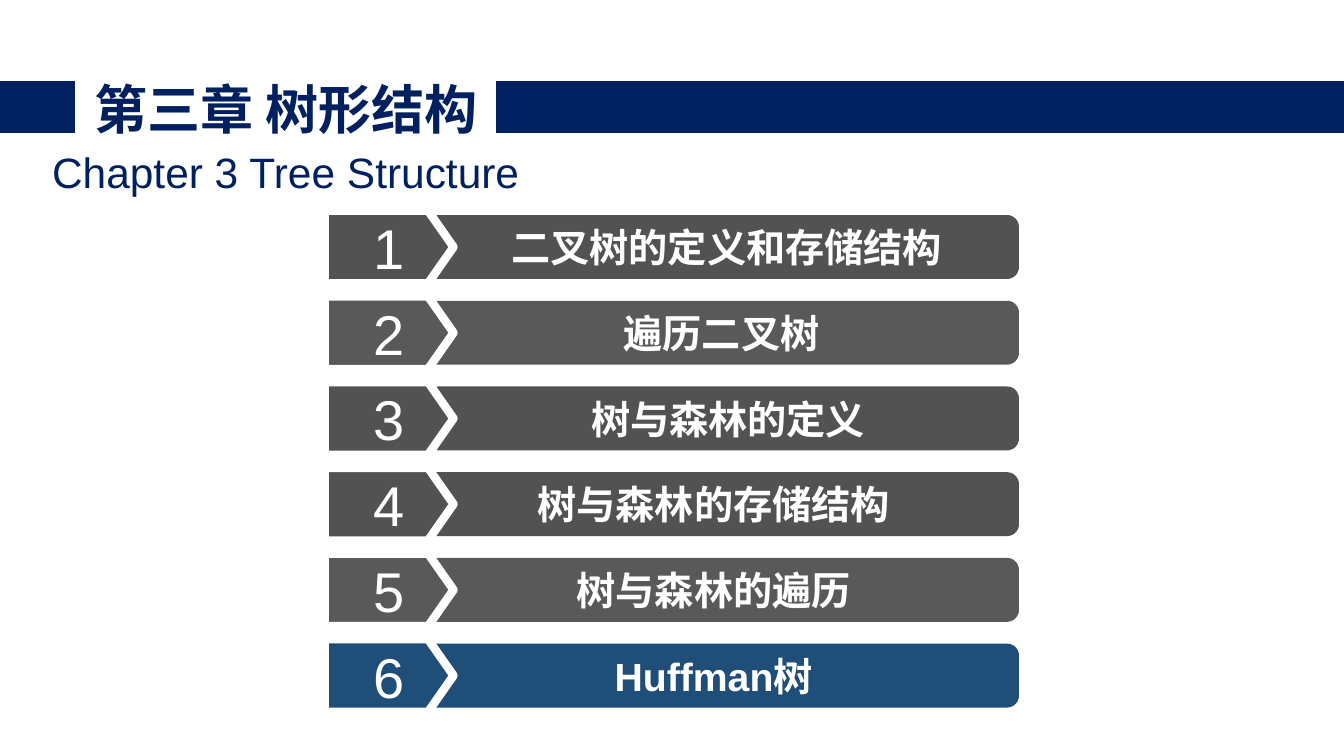
import math

from pptx import Presentation
from pptx import util as u
from pptx.dml import color
from pptx.enum import text

NAVY, WHITE = "002060", "FFFFFF"
DARK, GREY, BLUE = "525252", "595959", "1F4E79"

SECTIONS = [
    ("二叉树的定义和存储结构", DARK, 1.13, 0),
    ("遍历二叉树", GREY, 0.47, 0.4),
    ("树与森林的定义", DARK, 1.2, 0),
    ("树与森林的存储结构", DARK, 0.47, 0),
    ("树与森林的遍历", GREY, 0.47, 0),
    ("Huffman树", BLUE, 0.47, 0),
]


def paint(target, value):
    if hasattr(target, "solid"):
        target.solid()
        target = target.fore_color
    else:
        target = target.color
    target.rgb = color.RGBColor.from_string(value)


def write(shape, words, size, ink, bold=False, anchor=text.MSO_ANCHOR.MIDDLE, indent=0):
    frame = shape.text_frame
    frame.text = words
    frame.word_wrap = True
    frame.auto_size = text.MSO_AUTO_SIZE.NONE
    frame.vertical_anchor = anchor
    frame.margin_left = u.Cm(indent)
    frame.margin_right = frame.margin_top = frame.margin_bottom = 0
    para = frame.paragraphs[0]
    para.alignment = text.PP_ALIGN.CENTER
    para.space_before = u.Pt(0)
    for span in para.runs:
        span.font.name = "Arial"
        span.font.size = u.Pt(size)
        span.font.bold = bold
        paint(span.font, ink)


def place(shape, left, top, width, height):
    shape.left, shape.top = u.Cm(left), u.Cm(top)
    shape.width, shape.height = u.Cm(width), u.Cm(height)


def add_outline(shapes, points, fill):
    corners = [(u.Cm(x), u.Cm(y)) for x, y in points]
    builder = shapes.build_freeform(*corners[0])
    builder.add_line_segments(corners[1:], close=True)
    shape = builder.convert_to_shape()
    shape.shadow.inherit = False
    paint(shape.fill, fill)
    shape.line.fill.background()
    return shape


def add_band(page, left, top, width, height):
    right, bottom = left + width, top + height
    add_outline(page.shapes, [(left, top), (right, top), (right, bottom), (left, bottom)], NAVY)


def add_header(page, left, top, width, height):
    add_band(page, left, top, 1.88, height)
    add_band(page, left + 12.5, top, width - 12.5, height)
    title, subtitle = page.shapes.title, page.placeholders[1]
    place(title, left + 2.11, top - 0.13, 10.19, 1.63)
    write(title, "第三章 树形结构", 37.9, NAVY, bold=True)
    place(subtitle, left + 0.51, top + 1.65, 13.39, 1.3)
    write(subtitle, "Chapter 3 Tree Structure", 30.3, NAVY, anchor=text.MSO_ANCHOR.TOP)


def bar_points(left, top, right, bottom, radius=0.3):
    points = [(left, top)]
    for start, centre_y in ((-90, top + radius), (0, bottom - radius)):
        for step in range(10):
            angle = math.radians(start + 10 * step)
            points.append((right - radius + radius * math.cos(angle),
                           centre_y + radius * math.sin(angle)))
    return points + [(left, bottom)]


def add_section(page, number, section, left, top, width, height):
    words, fill, bar_shift, indent = section
    arrow_width, tip, inset = 3.25, 0.64, 0.11
    group = page.shapes.add_group_shape()
    bar_left = left + arrow_width - tip - 0.97 + bar_shift
    bar = add_outline(
        group.shapes,
        bar_points(bar_left, top + inset, left + width, top + height - inset),
        fill,
    )
    write(bar, words, 28, WHITE, bold=True, indent=indent)
    shoulder = left + arrow_width - tip
    arrow = add_outline(group.shapes, [
        (left, top), (shoulder, top), (left + arrow_width, top + height / 2),
        (shoulder, top + height), (left, top + height),
    ], fill)
    arrow.line.width = u.Pt(6)
    paint(arrow.line.fill, WHITE)
    write(arrow, str(number), 40, WHITE)


def add_contents(page, left, top, width, pitch):
    for index, section in enumerate(SECTIONS):
        add_section(page, index + 1, section, left, top + index * pitch, width, 1.83)


def main():
    deck = Presentation()
    deck.slide_width, deck.slide_height = u.Cm(33.87), u.Cm(19.05)
    page = deck.slides.add_slide(deck.slide_layouts[0])
    add_header(page, 0, 2.04, 33.87, 1.31)
    add_contents(page, 8.18, 5.31, 17.5, 2.16)
    deck.save("out.pptx")


if __name__ == "__main__":
    main()
